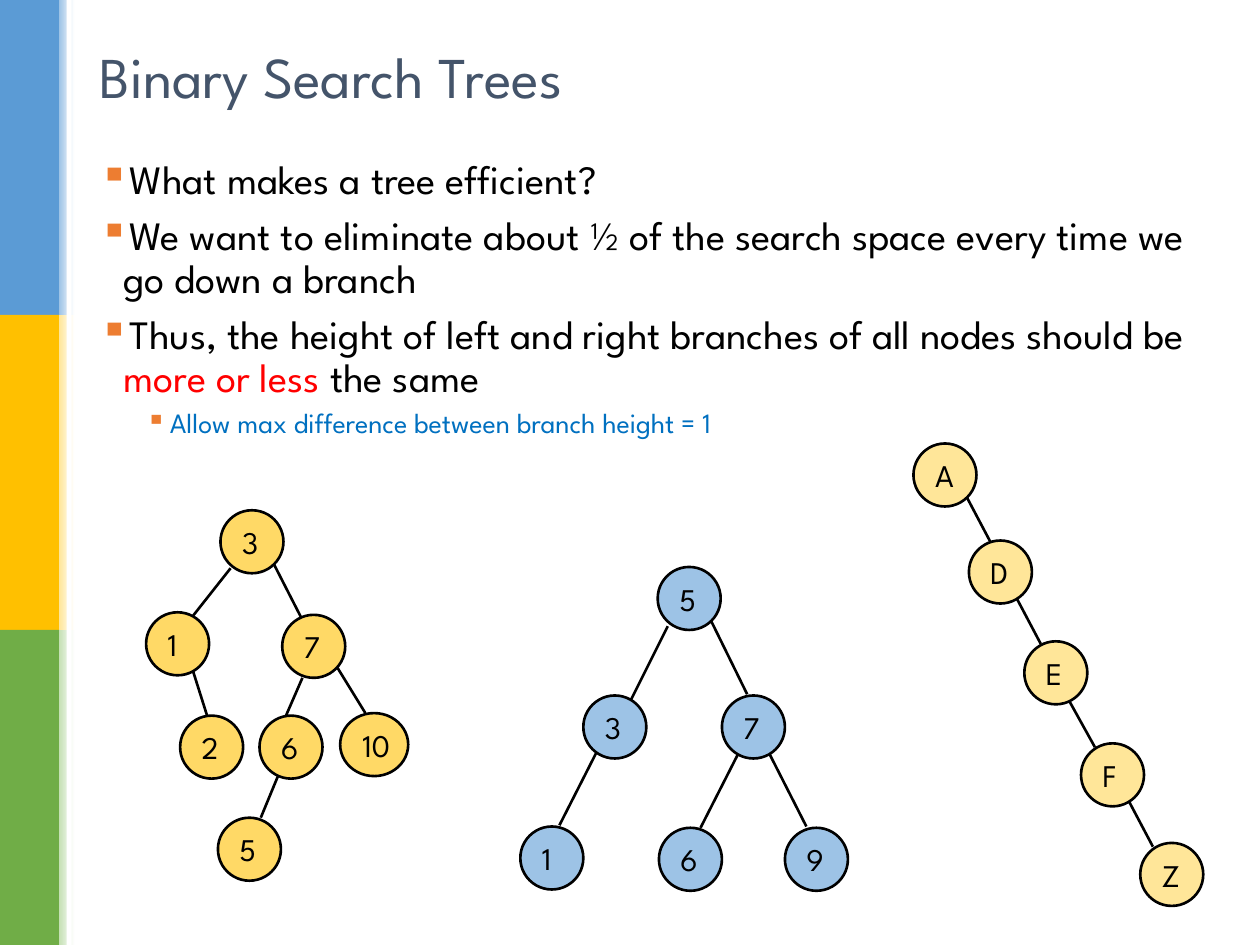
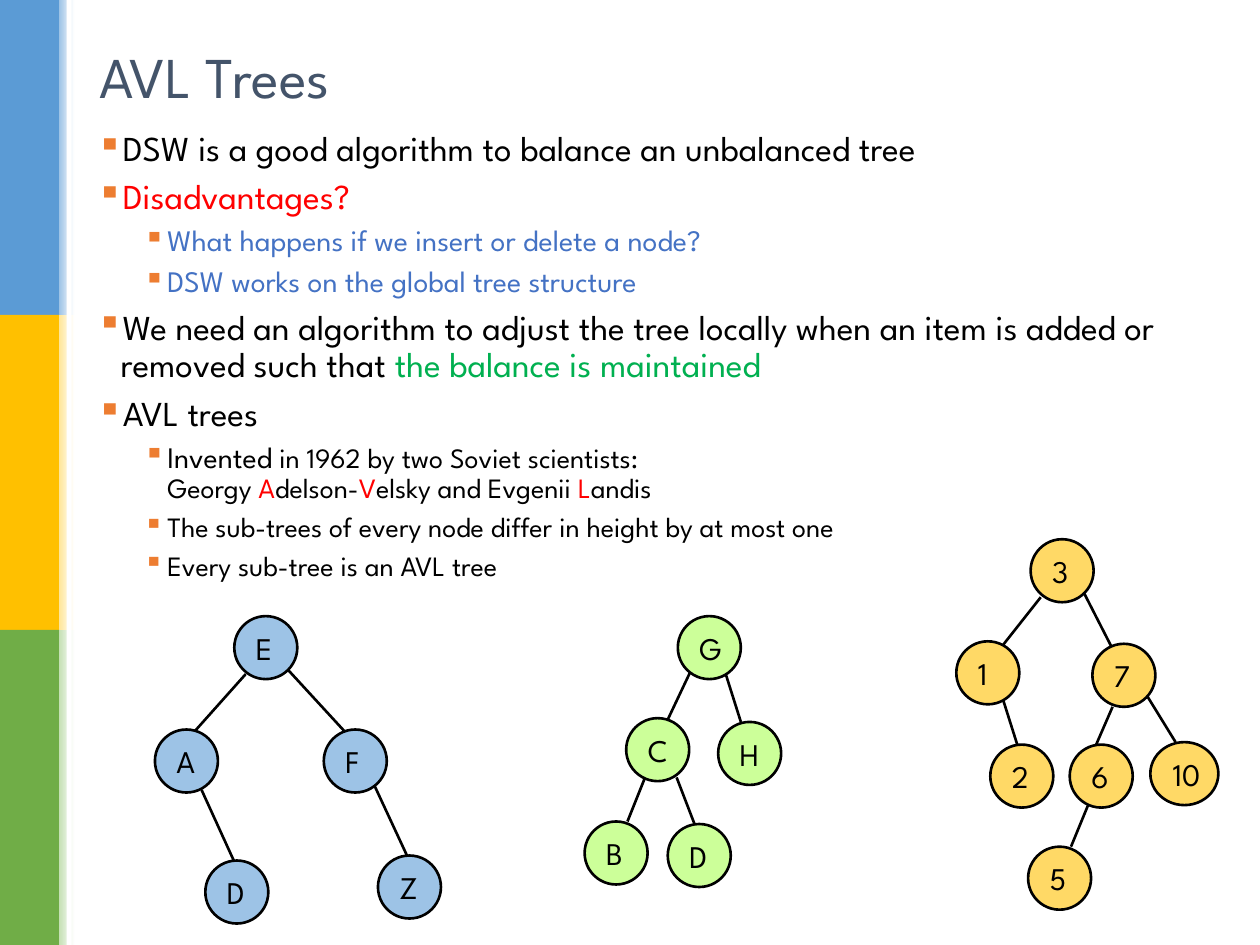
from dataclasses import dataclass

import pptx
import pptx.dml.color
import pptx.enum.shapes
import pptx.enum.text
import pptx.oxml.ns
import pptx.util
from lxml import etree

Inches = pptx.util.Inches
Pt = pptx.util.Pt
qn = pptx.oxml.ns.qn

FONT = "League Spartan"
BLACK, WHITE, RED = "000000", "FFFFFF", "FF0000"
TITLE_COLOR, BULLET_COLOR = "44546A", "ED7D31"
NOTE_BLUE, QUESTION_BLUE, GREEN = "0070C0", "4472C4", "00B050"
NODE_BLUE, NODE_GOLD, NODE_CREAM, NODE_LIME = "9DC3E6", "FFD966", "FFE699", "CCFF99"

BANDS = [("5B9BD5", "9DC3E6"), ("FFC000", "FFE699"), ("70AD47", "C5E0B4")]
BAND_WIDTH, FADE_WIDTH, BAND_HEIGHT = 0.47, 0.12, 2.5
NODE_SIZE = 0.5
LEVEL_MARGINS = [0.19, 0.56]
HANGING = 0.19


@dataclass
class Words:
    text: str
    size: float
    color: str = BLACK


@dataclass
class Bullet:
    words: list[Words]
    level: int = 0


@dataclass
class Node:
    label: str
    left: float
    top: float
    width: float = NODE_SIZE


@dataclass
class Tree:
    """Nodes, and branches as (x1, y1, x2, y2), in inches."""
    color: str
    nodes: list[Node]
    branches: list[tuple[float, float, float, float]]


@dataclass
class Page:
    title: str
    body_box: tuple[float, float, float, float]
    bullets: list[Bullet]
    trees: list[Tree]


def shifted(tree: Tree, dx: float, dy: float) -> Tree:
    return Tree(
        tree.color,
        [Node(n.label, n.left + dx, n.top + dy, n.width) for n in tree.nodes],
        [(x1 + dx, y1 + dy, x2 + dx, y2 + dy) for x1, y1, x2, y2 in tree.branches],
    )


NUMBERS_TREE = Tree(
    NODE_GOLD,
    [Node("3", 1.75, 4.05), Node("1", 1.16, 4.86), Node("7", 2.24, 4.88),
     Node("2", 1.43, 5.68), Node("6", 2.06, 5.68), Node("10", 2.7, 5.66, 0.54),
     Node("5", 1.73, 6.49)],
    [(1.83, 4.51, 1.53, 4.89), (2.17, 4.47, 2.39, 4.9), (2.66, 5.27, 2.9, 5.66),
     (2.4, 5.38, 2.27, 5.68), (2.21, 6.15, 2.07, 6.49), (1.53, 5.32, 1.65, 5.7)],
)

FULL_TREE = Tree(
    NODE_BLUE,
    [Node("5", 5.22, 4.5), Node("3", 4.63, 5.52), Node("7", 5.73, 5.52),
     Node("1", 4.13, 6.56), Node("6", 5.23, 6.57), Node("9", 6.23, 6.57)],
    [(5.3, 4.97, 5.01, 5.55), (5.64, 4.92, 5.93, 5.51), (6.1, 5.97, 6.4, 6.56),
     (5.86, 5.98, 5.56, 6.57), (4.74, 5.96, 4.44, 6.55)],
)

CHAIN_TREE = Tree(
    NODE_CREAM,
    [Node("A", 7.25, 3.52), Node("D", 7.69, 4.29), Node("E", 8.13, 5.09),
     Node("F", 8.58, 5.9), Node("Z", 9.05, 6.69)],
    [(7.67, 3.94, 7.86, 4.3), (8.07, 4.75, 8.26, 5.11),
     (8.49, 5.57, 8.69, 5.93), (8.96, 6.36, 9.15, 6.72)],
)

LETTERS_TREE = Tree(
    NODE_BLUE,
    [Node("E", 1.86, 4.89), Node("A", 1.23, 5.79), Node("F", 2.57, 5.79),
     Node("D", 1.63, 6.83), Node("Z", 3, 6.79)],
    [(1.95, 5.35, 1.54, 5.81), (2.28, 5.31, 2.74, 5.81),
     (1.6, 6.27, 1.86, 6.84), (2.97, 6.23, 3.23, 6.79)],
)

LEFT_HEAVY_TREE = Tree(
    NODE_LIME,
    [Node("G", 5.38, 4.89), Node("C", 4.97, 5.7), Node("H", 5.7, 5.73),
     Node("B", 4.64, 6.52), Node("D", 5.3, 6.54)],
    [(5.76, 5.35, 5.88, 5.73), (5.48, 5.33, 5.3, 5.71),
     (5.12, 6.17, 4.98, 6.52), (5.37, 6.17, 5.52, 6.56)],
)

PAGES = [
    Page(
        "Binary Search Trees",
        (0.69, 1.22, 8.86, 5.83),
        [
            Bullet([Words("What makes a tree efficient?", 23)]),
            Bullet([Words("We want to eliminate about ½ of the search space "
                          "every time we go down a branch", 23)]),
            Bullet([Words("Thus, the height of left and right branches of all "
                          "nodes should be ", 23),
                    Words("more or less ", 23, RED), Words("the same", 23)]),
            Bullet([Words("Allow max difference between branch height = 1",
                          16, NOTE_BLUE)], 1),
        ],
        [FULL_TREE, CHAIN_TREE, NUMBERS_TREE],
    ),
    Page(
        "AVL Trees",
        (0.67, 0.99, 8.86, 5.99),
        [
            Bullet([Words("DSW is a good algorithm to balance an unbalanced tree", 20)]),
            Bullet([Words("Disadvantages?", 20, RED)]),
            Bullet([Words("What happens if we insert or delete a node?",
                          17, QUESTION_BLUE)], 1),
            Bullet([Words("DSW works on the global tree structure",
                          17, QUESTION_BLUE)], 1),
            Bullet([Words("We need an algorithm to adjust the tree locally when an "
                          "item is added or removed such that ", 20),
                    Words("the balance is maintained", 20, GREEN)]),
            Bullet([Words("AVL trees", 20)]),
            Bullet([Words("Invented", 17),
                    Words(" in 1962 by two Soviet scientists: ", 16),
                    Words("\n", 16), Words("Georgy ", 16),
                    Words("A", 16, RED), Words("delson-", 16),
                    Words("V", 16, RED), Words("elsky and Evgenii ", 16),
                    Words("L", 16, RED), Words("andis", 16)], 1),
            Bullet([Words("The sub-trees of every node differ in height "
                          "by at most one", 16)], 1),
            Bullet([Words("Every sub-tree is an AVL tree", 16)], 1),
        ],
        [LETTERS_TREE, shifted(NUMBERS_TREE, 6.43, 0.23), LEFT_HEAVY_TREE],
    ),
]


def rgb(color: str) -> pptx.dml.color.RGBColor:
    return pptx.dml.color.RGBColor.from_string(color)


def format_font(font, size: float, color: str) -> None:
    for name, value in {"name": FONT, "size": Pt(size), "bold": False}.items():
        setattr(font, name, value)
    font.color.rgb = rgb(color)


def add_filled(slide, kind: str, left: float, top: float, width: float,
               height: float, color: str):
    shape = slide.shapes.add_shape(
        getattr(pptx.enum.shapes.MSO_SHAPE, kind),
        Inches(left), Inches(top), Inches(width), Inches(height))
    shape.shadow.inherit = False
    shape.fill.solid()
    shape.fill.fore_color.rgb = rgb(color)
    shape.line.fill.background()
    return shape


def add_side_bands(slide) -> None:
    for row, (color, fade_color) in enumerate(BANDS):
        top = row * BAND_HEIGHT
        add_filled(slide, "RECTANGLE", 0, top, BAND_WIDTH, BAND_HEIGHT, color)
        fade = add_filled(slide, "RECTANGLE", BAND_WIDTH, top, FADE_WIDTH,
                          BAND_HEIGHT, fade_color)
        fade.fill.gradient()
        fade.fill.gradient_angle = 0
        for stop, stop_color in zip(fade.fill.gradient_stops, (fade_color, WHITE)):
            stop.color.rgb = rgb(stop_color)
    add_filled(slide, "RECTANGLE", 0.53, 0, 0.04, 7.5, WHITE)


def set_title(slide, text: str) -> None:
    title = slide.shapes.title
    for name, value in {"left": 0.69, "top": 0.26, "width": 8.62, "height": 0.68}.items():
        setattr(title, name, Inches(value))
    frame = title.text_frame
    frame.text = text
    frame.vertical_anchor = pptx.enum.text.MSO_ANCHOR.MIDDLE
    paragraph = frame.paragraphs[0]
    paragraph.alignment = pptx.enum.text.PP_ALIGN.LEFT
    format_font(paragraph.runs[0].font, 33, TITLE_COLOR)


def format_bullet(paragraph, level: int, is_first: bool) -> None:
    paragraph.level = level
    paragraph.line_spacing = 0.9
    properties = paragraph._p.get_or_add_pPr()
    properties.set("marL", str(Inches(LEVEL_MARGINS[level])))
    properties.set("indent", str(-Inches(HANGING)))
    if not is_first:
        spacing = etree.SubElement(properties, qn("a:spcBef"))
        etree.SubElement(spacing, qn("a:spcPct"), val="30000")
    bullet_color = etree.SubElement(properties, qn("a:buClr"))
    etree.SubElement(bullet_color, qn("a:srgbClr"), val=BULLET_COLOR)
    etree.SubElement(properties, qn("a:buChar"), char="▪")


def add_body(slide, box: tuple[float, float, float, float], bullets: list[Bullet]) -> None:
    frame = slide.shapes.add_textbox(*map(Inches, box)).text_frame
    frame.word_wrap = True
    for index, bullet in enumerate(bullets):
        paragraph = frame.add_paragraph() if index else frame.paragraphs[0]
        format_bullet(paragraph, bullet.level, index == 0)
        for words in bullet.words:
            if words.text == "\n":
                paragraph.add_line_break()
                etree.SubElement(paragraph._p[-1], qn("a:rPr"), sz=str(words.size * 100))
            else:
                run = paragraph.add_run()
                run.text = words.text
                format_font(run.font, words.size, words.color)


def outline(line) -> None:
    line.color.rgb = rgb(BLACK)
    line.width = Pt(1.5)


def add_tree(slide, tree: Tree) -> None:
    for ends in tree.branches:
        branch = slide.shapes.add_connector(
            pptx.enum.shapes.MSO_CONNECTOR.STRAIGHT, *map(Inches, ends))
        outline(branch.line)
        etree.SubElement(branch._element.spPr, qn("a:effectLst"))
    for node in tree.nodes:
        circle = add_filled(slide, "OVAL", node.left, node.top, node.width,
                            NODE_SIZE, tree.color)
        outline(circle.line)
        frame = circle.text_frame
        frame.text = node.label
        frame.word_wrap = False
        frame.vertical_anchor = pptx.enum.text.MSO_ANCHOR.MIDDLE
        paragraph = frame.paragraphs[0]
        paragraph.alignment = pptx.enum.text.PP_ALIGN.LEFT
        format_font(paragraph.runs[0].font, 18, BLACK)


def main() -> None:
    deck = pptx.Presentation()
    deck.slide_width, deck.slide_height = Inches(10), Inches(7.5)
    title_only = deck.slide_layouts.get_by_name("Title Only")
    for page in PAGES:
        slide = deck.slides.add_slide(title_only)
        add_side_bands(slide)
        set_title(slide, page.title)
        add_body(slide, page.body_box, page.bullets)
        for tree in page.trees:
            add_tree(slide, tree)
    deck.save("out.pptx")


if __name__ == "__main__":
    main()
